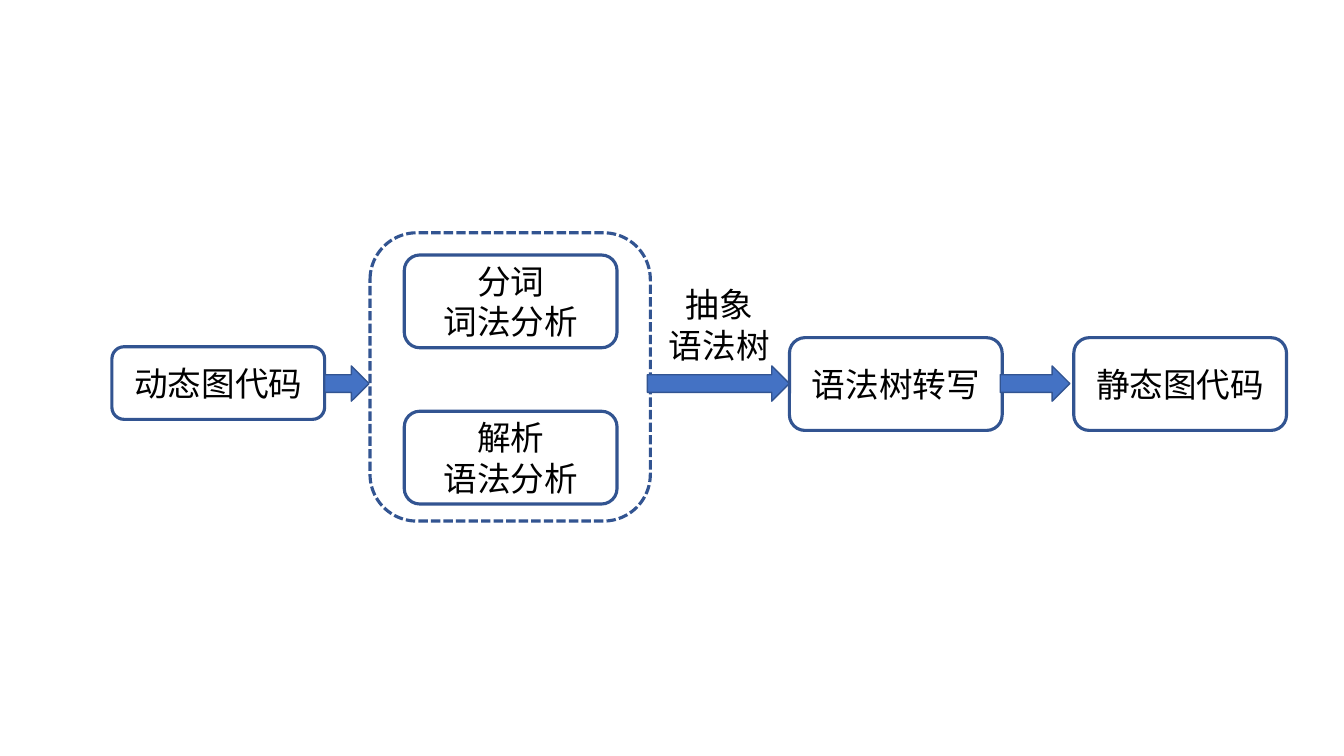
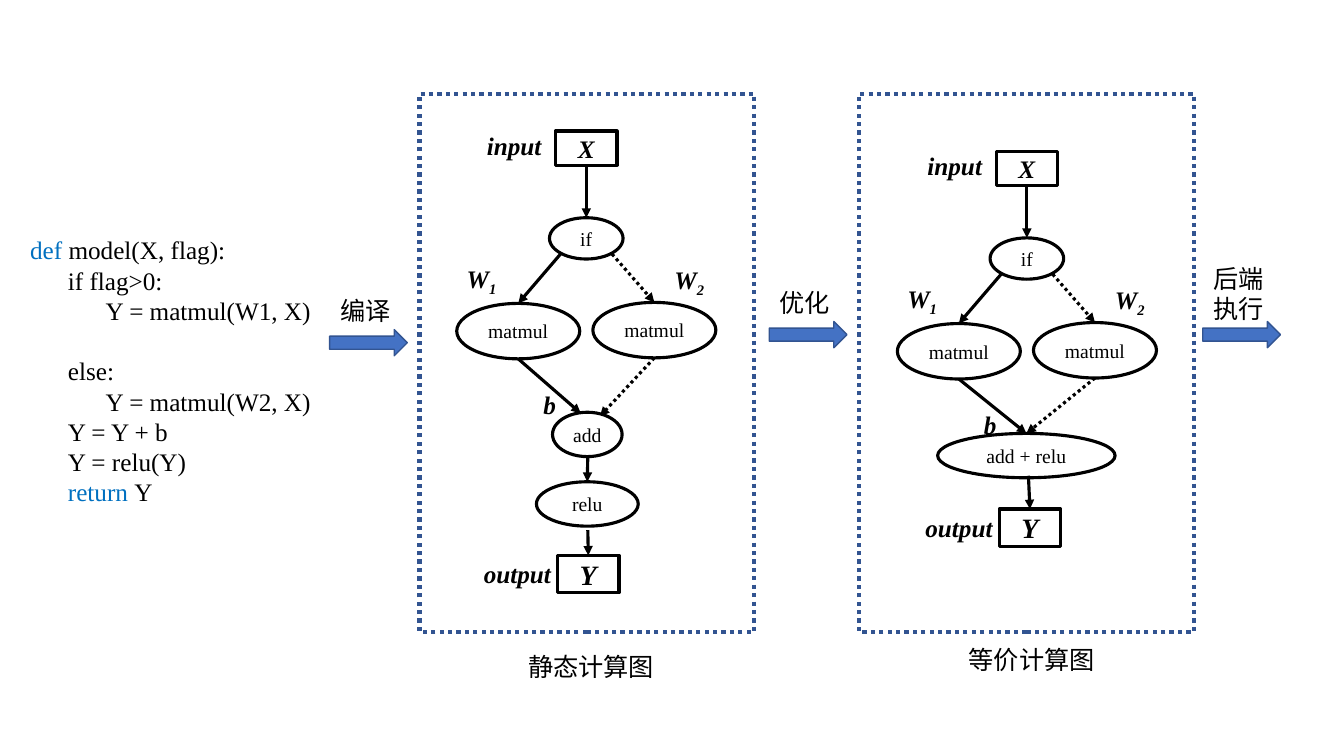
import pptx
import pptx.util
import pptx.dml.color
import pptx.enum.dml
import pptx.enum.shapes
import pptx.enum.text
import pptx.oxml
import pptx.oxml.ns

Inches = pptx.util.Inches
Pt = pptx.util.Pt
SHAPE = pptx.enum.shapes.MSO_SHAPE
DASH = pptx.enum.dml.MSO_LINE
ALIGN = pptx.enum.text.PP_ALIGN
ANCHOR = pptx.enum.text.MSO_ANCHOR

COLORS = {
    "ink": "000000",
    "paper": "FFFFFF",
    "outline": "325491",
    "arrow": "4472C4",
    "keyword": "0070C0",
}
SANS = "Noto Sans CJK SC"
SERIF = "Times New Roman"


def rgb(name):
    return pptx.dml.color.RGBColor.from_string(COLORS[name])


class Diagram:
    def __init__(self):
        self.deck = pptx.Presentation()
        self.deck.slide_width = Inches(13.33)
        self.deck.slide_height = Inches(7.5)
        self.slide = None
        self.font = SANS
        self.size = 24

    def new_slide(self, font, size):
        self.slide = self.deck.slides.add_slide(self.deck.slide_layouts[6])
        self.font, self.size = font, size

    def set_text(self, frame, lines, size=None, align=ALIGN.CENTER, strong=False):
        size = size or self.size
        frame.text = "\n".join("".join(text for text, _ in line) for line in lines)
        for paragraph, line in zip(frame.paragraphs, lines):
            paragraph.alignment = align
            paragraph.line_spacing = Pt(round(size * 1.2, 1))
            paragraph.runs[0].text = line[0][0]
            for text, _ in line[1:]:
                paragraph.add_run().text = text
            for run, (_, style) in zip(paragraph.runs, line):
                run.font.name = self.font
                run.font.size = Pt(size)
                run.font.bold = run.font.italic = strong
                run.font.color.rgb = rgb(style.get("color", "ink"))
                properties = run.font._element
                if "baseline" in style:
                    properties.set("baseline", str(style["baseline"]))
                east_asian = pptx.oxml.parse_xml(
                    f'<a:ea {pptx.oxml.ns.nsdecls("a")} typeface="{SANS}"/>')
                properties.find(pptx.oxml.ns.qn("a:latin")).addnext(east_asian)

    def shape(self, kind, at, text="", fill=None, line="outline", width=2.25,
              dash=None, size=None, strong=False):
        figure = self.slide.shapes.add_shape(kind, *map(Inches, at))
        figure.shadow.inherit = False
        if fill:
            figure.fill.solid()
            figure.fill.fore_color.rgb = rgb(fill)
        else:
            figure.fill.background()
        figure.line.color.rgb = rgb(line)
        figure.line.width = Pt(width)
        if dash:
            figure.line.dash_style = dash
        if text:
            frame = figure.text_frame
            frame.word_wrap = False
            frame.vertical_anchor = ANCHOR.MIDDLE
            frame.margin_left = frame.margin_right = 0
            frame.margin_top = frame.margin_bottom = 0
            self.set_text(frame, [[(row, {})] for row in text.split("\n")], size, strong=strong)
        return figure

    def step(self, at, text):
        return self.shape(SHAPE.ROUNDED_RECTANGLE, at, text)

    def block_arrow(self, at):
        return self.shape(SHAPE.RIGHT_ARROW, at, fill="arrow", width=1)

    def panel(self, at):
        return self.shape(SHAPE.RECTANGLE, at, fill="paper", width=3, dash=DASH.ROUND_DOT)

    def operation(self, at, text):
        return self.shape(SHAPE.OVAL, at, text, fill="paper", line="ink", size=14)

    def tensor(self, at, text, size):
        return self.shape(SHAPE.RECTANGLE, at, text, fill="paper", line="ink",
                          size=size, strong=True)

    def label(self, at, lines, align=ALIGN.LEFT, strong=False):
        frame = self.slide.shapes.add_textbox(*map(Inches, at)).text_frame
        frame.word_wrap = True
        if align == ALIGN.LEFT:
            frame.margin_right = 0
        self.set_text(frame, lines, align=align, strong=strong)
        return frame

    def edge(self, start, end, source=None, target=None, dash=None):
        link = self.slide.shapes.add_connector(
            pptx.enum.shapes.MSO_CONNECTOR.STRAIGHT, *map(Inches, start + end))
        link.line.color.rgb = rgb("ink")
        link.line.width = Pt(2.25)
        if dash:
            link.line.dash_style = dash
        namespace = pptx.oxml.ns.nsdecls("a")
        link.line._get_or_add_ln().append(
            pptx.oxml.parse_xml(f'<a:tailEnd {namespace} type="triangle"/>'))
        link._element.spPr.append(pptx.oxml.parse_xml(f"<a:effectLst {namespace}/>"))
        if source is not None:
            link.begin_connect(source, 2)
        if target is not None:
            link.end_connect(target, 0)

    def code(self, at, rows, indent):
        frame = self.label(at, [segments for _, _, segments in rows])
        for paragraph, (level, gap, _) in zip(frame.paragraphs, rows):
            paragraph._p.get_or_add_pPr().set("marL", str(Inches(level * indent)))
            if gap:
                paragraph.space_before = Pt(gap)


def branch_graph(diagram, dx, dy, merge):
    def place(x, y, *extent):
        return (round(x + dx, 2), round(y + dy, 2)) + extent

    source = diagram.tensor(place(5.51, 1.3, 0.61, 0.34), "X", 18)
    condition = diagram.operation(place(5.45, 2.16, 0.73, 0.41), "if")
    diagram.edge(place(5.82, 1.67), place(5.82, 2.16), source, condition)
    left_end, right_end = merge
    for side, top, exit_point, dash, end in (
            (4.53, 3.01, (5.56, 2.52), None, left_end),
            (5.88, 3.0, (6.07, 2.52), DASH.ROUND_DOT, right_end)):
        product = diagram.operation(place(side, top, 1.22, 0.55), "matmul")
        diagram.edge(place(*exit_point), place(side + 0.61, top), target=product, dash=dash)
        diagram.edge(place(side + 0.61, top + 0.55), end, dash=dash)
    for x, y, width, text, subscript in (
            (4.73, 1.24, 0.8, "input", ""),
            (4.53, 2.6, 0.58, "W", "1"),
            (6.59, 2.61, 0.71, "W", "2"),
            (5.29, 3.81, 0.35, "b", "")):
        segments = [(text, {})]
        if subscript:
            segments.append((subscript, {"baseline": -25000}))
        diagram.label(place(x, y, width, 0.4), [segments], strong=True)


def output(diagram, x, y, start):
    result = diagram.tensor((x, y, 0.61, 0.37), "Y", 20)
    diagram.edge(start, (round(x + 0.3, 2), y), target=result)
    diagram.label((round(x - 0.83, 2), round(y - 0.02, 2), 0.87, 0.4),
                  [[("output", {})]], strong=True)


def conversion_slide(diagram):
    diagram.new_slide(SANS, 24)
    diagram.shape(SHAPE.ROUNDED_RECTANGLE, (3.67, 2.31, 2.78, 2.86), dash=DASH.SQUARE_DOT)
    diagram.step((1.11, 3.44, 2.11, 0.72), "动态图代码")
    for x, y, text in ((4.01, 2.53, "分词\n词法分析"), (4.01, 4.08, "解析\n语法分析"),
                       (7.83, 3.35, "语法树转写"), (10.65, 3.35, "静态图代码")):
        diagram.step((x, y, 2.11, 0.92), text)
    diagram.label((6.31, 2.77, 1.65, 0.91), [[("抽象", {})], [("语法树", {})]], ALIGN.CENTER)
    for x, width in ((3.22, 0.44), (6.42, 1.41), (9.92, 0.69)):
        diagram.block_arrow((x, 3.63, width, 0.35))


def compilation_slide(diagram):
    diagram.new_slide(SERIF, 18)
    keyword = {"color": "keyword"}
    diagram.code((0.2, 2.28, 3.22, 2.52), [
        (0, 0, [("def", keyword), (" model(X, flag):", {})]),
        (1, 0, [("if flag>0:", {})]),
        (2, 0, [("Y = matmul(W1, X)", {})]),
        (1, 21.6, [("else:", {})]),
        (2, 0, [("Y = matmul(W2, X)", {})]),
        (1, 0, [("Y = Y + b", {})]),
        (1, 0, [("Y = relu(Y)", {})]),
        (1, 0, [("return ", keyword), ("Y", {})]),
    ], 0.375)

    for x in (4.16, 8.52):
        diagram.panel((x, 0.93, 3.32, 5.34))

    branch_graph(diagram, 0, 0, ((5.76, 4.1), (5.95, 4.13)))
    diagram.operation((5.48, 4.09, 0.69, 0.44), "add")
    activation = diagram.operation((5.32, 4.78, 1.01, 0.44), "relu")
    diagram.edge((5.83, 4.52), (5.83, 4.78), target=activation)
    output(diagram, 5.53, 5.51, (5.83, 5.26))

    branch_graph(diagram, 4.37, 0.2, ((10.18, 4.3), (10.18, 4.3)))
    diagram.operation((9.3, 4.3, 1.76, 0.44), "add + relu")
    output(diagram, 9.91, 5.05, (10.2, 4.72))

    for x, y in ((3.27, 3.27), (7.63, 3.19), (11.93, 3.19)):
        diagram.block_arrow((x, y, 0.77, 0.26))
    for at, text in (((3.28, 2.88, 0.77, 0.4), "编译"),
                     ((7.63, 2.8, 0.77, 0.4), "优化"),
                     ((11.94, 2.56, 0.77, 0.71), "后端执行"),
                     ((5.14, 6.41, 1.5, 0.4), "静态计算图"),
                     ((9.51, 6.34, 1.5, 0.4), "等价计算图")):
        diagram.label(at, [[(text, {})]])


def main():
    diagram = Diagram()
    conversion_slide(diagram)
    compilation_slide(diagram)
    diagram.deck.save("out.pptx")


if __name__ == "__main__":
    main()
